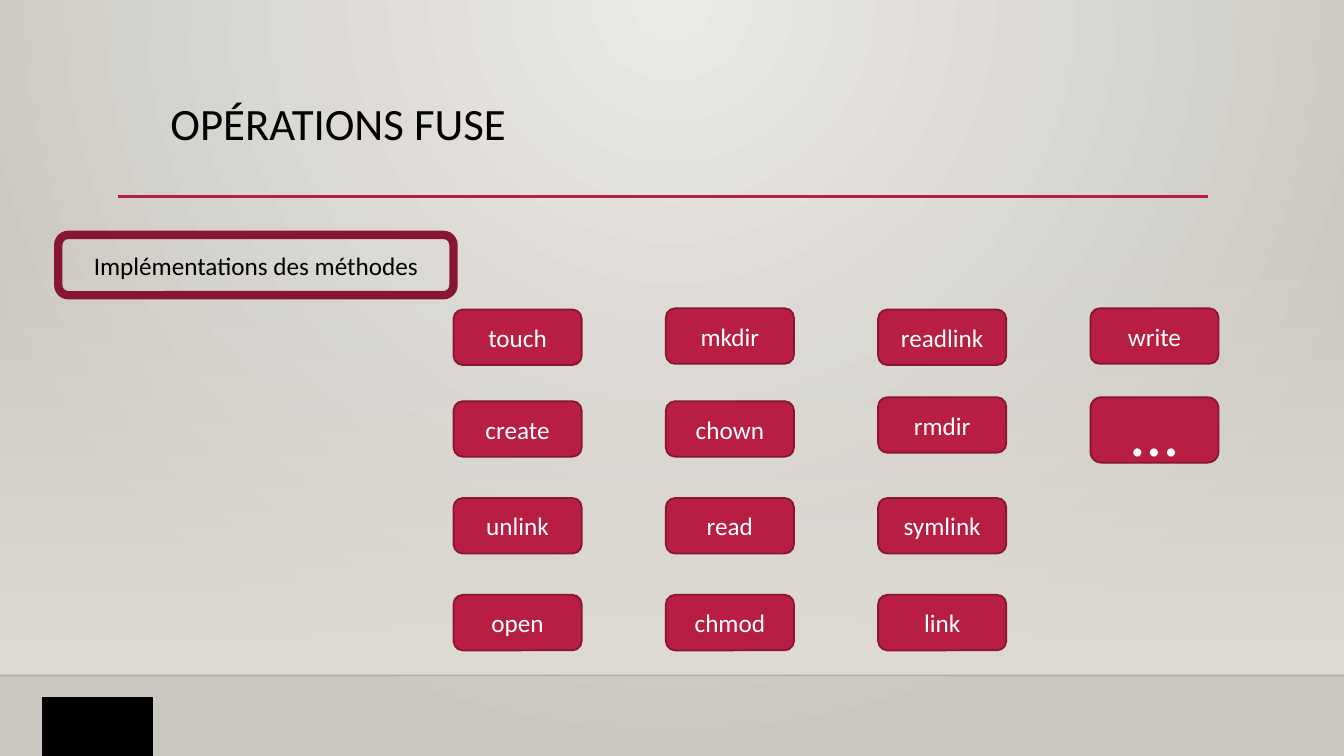
import dataclasses
import typing

import pptx
import pptx.dml.color
import pptx.enum.shapes
import pptx.enum.text
import pptx.oxml
import pptx.oxml.ns
import pptx.util

Cm = pptx.util.Cm
Pt = pptx.util.Pt
KINDS = pptx.enum.shapes.MSO_SHAPE
ALIGN = pptx.enum.text.PP_ALIGN
ANCHOR = pptx.enum.text.MSO_ANCHOR
qn = pptx.oxml.ns.qn

RED, DARK, BLACK, WHITE = "B71E42", "871631", "000000", "FFFFFF"
WIDE, HIGH = 33.87, 19.05
LEFT, STEP = 11.43, 5.35
ROWS = (7.8, 10.11, 12.55, 14.99)
RAISED = (7.77, 10.01)


@dataclasses.dataclass
class Box:
    left: float
    top: float
    width: float
    height: float
    text: str = ""
    size: float = 18
    ink: str = WHITE
    fill: typing.Optional[str] = RED
    edge: typing.Optional[str] = DARK
    weight: float = 1.25
    kind: KINDS = KINDS.ROUNDED_RECTANGLE


@dataclasses.dataclass
class Rule:
    left: float
    right: float
    top: float
    color: str
    weight: float
    alpha: int = 100


def tint(code: str) -> pptx.dml.color.RGBColor:
    return pptx.dml.color.RGBColor.from_string(code)


def assign(item: typing.Any, values: dict) -> None:
    for name, value in values.items():
        setattr(item, name, value)


def fade(root: typing.Any, alpha: int) -> None:
    """Set the opacity, in percent, of the first colour under root."""
    color = next(root.iter(qn("a:srgbClr")))
    color.append(pptx.oxml.parse_xml(
        f'<a:alpha {pptx.oxml.ns.nsdecls("a")} val="{alpha * 1000}"/>'))


def blend(fill: typing.Any, codes: tuple[str, str]) -> None:
    fill.gradient()
    for stop, code in zip(fill.gradient_stops, codes):
        stop.color.rgb = tint(code)


def write(frame: typing.Any, text: str, size: float, ink: str,
          align: ALIGN, anchor: ANCHOR, space: float = 1.0) -> None:
    assign(frame, {"text": text, "word_wrap": True, "vertical_anchor": anchor})
    par = frame.paragraphs[0]
    assign(par, {"alignment": align, "line_spacing": space})
    assign(par.runs[0].font, {"name": "Calibri", "size": Pt(size)})
    par.runs[0].font.color.rgb = tint(ink)


def draw_box(slide: typing.Any, box: Box) -> typing.Any:
    shape = slide.shapes.add_shape(
        box.kind, Cm(box.left), Cm(box.top), Cm(box.width), Cm(box.height))
    shape.shadow.inherit = False
    if box.fill:
        shape.fill.solid()
        shape.fill.fore_color.rgb = tint(box.fill)
    else:
        shape.fill.background()
    if box.edge:
        shape.line.color.rgb = tint(box.edge)
        shape.line.width = Pt(box.weight)
    else:
        shape.line.fill.background()
    if box.text:
        write(shape.text_frame, box.text, box.size, box.ink,
              ALIGN.CENTER, ANCHOR.MIDDLE)
    return shape


def draw_rule(slide: typing.Any, rule: Rule) -> None:
    line = slide.shapes.add_connector(
        pptx.enum.shapes.MSO_CONNECTOR.STRAIGHT,
        Cm(rule.left), Cm(rule.top), Cm(rule.right), Cm(rule.top))
    line.line.color.rgb = tint(rule.color)
    line.line.width = Pt(rule.weight)
    props = line.element.spPr
    props.append(props.makeelement(qn("a:effectLst"), {}))
    if rule.alpha < 100:
        fade(props, rule.alpha)


def draw_ground(slide: typing.Any) -> None:
    """Paint the round glow, the lower veil and the fixed decoration."""
    blend(slide.background.fill, ("ECEAE7", "CAC7C1"))
    grad = next(slide.element.iter(qn("a:gradFill")))
    grad.replace(grad.find(qn("a:lin")), pptx.oxml.parse_xml(
        f'<a:path {pptx.oxml.ns.nsdecls("a")} path="circle">'
        '<a:fillToRect l="43000" t="0" r="43000" b="100000"/></a:path>'))

    veil = draw_box(slide, Box(0, 5.61, WIDE, 11.41, fill=None, edge=None,
                               kind=KINDS.RECTANGLE))
    blend(veil.fill, ("DFDBD5", "DFDBD5"))
    veil.fill.gradient_angle = 270
    fade(veil.element.spPr, 0)

    draw_rule(slide, Rule(0, WIDE, 17.02, "000001", 1, 20))
    draw_box(slide, Box(1.07, 17.58, 2.77, HIGH - 17.58, fill=BLACK,
                        edge=BLACK, kind=KINDS.RECTANGLE))
    draw_rule(slide, Rule(2.97, 30.45, 4.95, RED, 2.5))


def draw_title(slide: typing.Any) -> None:
    title = slide.shapes.title
    assign(title, {"left": Cm(4.04), "top": Cm(2.44),
                   "width": Cm(26.67), "height": Cm(2.51)})
    write(title.text_frame, "OPÉRATIONS FUSE", 32, BLACK,
          ALIGN.LEFT, ANCHOR.TOP, 0.9)


def draw_calls(slide: typing.Any) -> None:
    grid = (
        ("touch", "create", "unlink", "open"),
        ("mkdir", "chown", "read", "chmod"),
        ("readlink", "rmdir", "symlink", "link"),
        ("write", "…"),
    )
    tops = {"mkdir": RAISED[0], "write": RAISED[0],
            "rmdir": RAISED[1], "…": RAISED[1]}
    for col, names in enumerate(grid):
        for name, top in zip(names, ROWS):
            more = name == "…"
            draw_box(slide, Box(LEFT + col * STEP, tops.get(name, top), 3.23,
                                1.65 if more else 1.4, name,
                                48 if more else 18))


def main() -> None:
    deck = pptx.Presentation()
    assign(deck, {"slide_width": Cm(WIDE), "slide_height": Cm(HIGH)})
    slide = deck.slides.add_slide(deck.slide_layouts[5])
    draw_ground(slide)
    draw_title(slide)
    draw_calls(slide)
    draw_box(slide, Box(1.47, 5.92, 9.96, 1.52, "Implémentations des méthodes",
                        ink=BLACK, fill=None, weight=6))
    deck.save("out.pptx")


if __name__ == "__main__":
    main()
